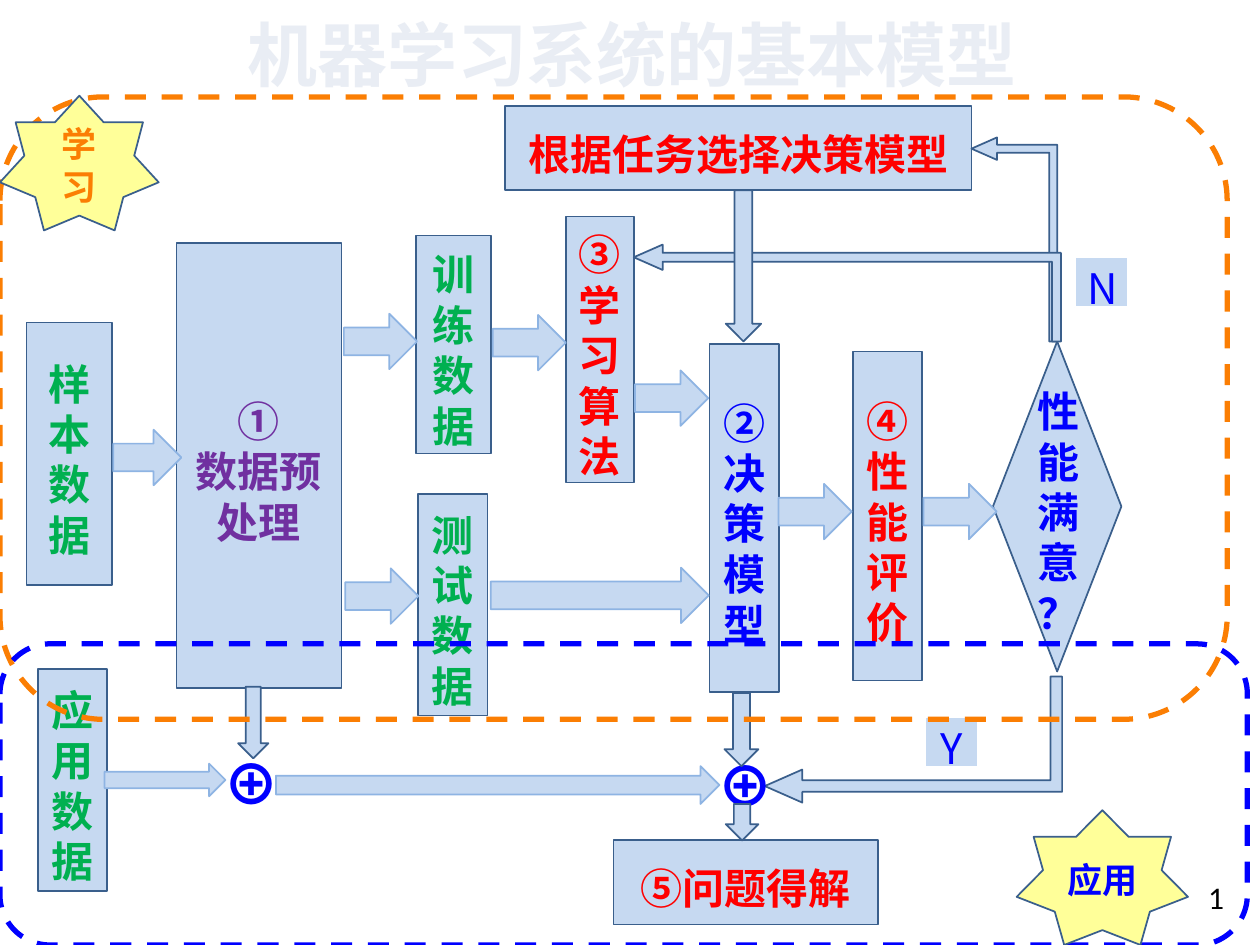
from lxml.etree import SubElement
from pptx import Presentation
from pptx.dml.color import RGBColor
from pptx.enum.dml import MSO_LINE
from pptx.enum.shapes import MSO_SHAPE
from pptx.enum.text import MSO_ANCHOR, PP_ALIGN
from pptx.oxml.ns import qn
from pptx.util import Pt

COLORS = {
    "pale": "C6D9F1", "edge": "3A5F8C", "light_edge": "8EB4E3",
    "white": "FFFFFF", "black": "000000", "yellow": "FFFF99",
    "green": "00B050", "red": "FF0000", "blue": "0000FF",
    "purple": "7030A0", "orange": "FB7E03", "title": "E9EDF4",
}
CJK_FONT = "Noto Sans CJK SC"


class Diagram:
    """Holds the diagram style and the slide being drawn."""

    def __init__(self, slide):
        """Keep the slide that receives the elements."""
        self.slide = slide

    def color(self, name):
        """Return a named colour."""
        return RGBColor.from_string(COLORS[name])

    def add_text(self, shape, lines, color, size=24, bold=True,
                 font=CJK_FONT, align=PP_ALIGN.CENTER):
        """Put one paragraph per line into a shape."""
        frame = shape.text_frame
        frame.word_wrap = True
        for index, line in enumerate(lines):
            paragraph = frame.add_paragraph() if index else frame.paragraphs[0]
            paragraph.alignment = align
            run = paragraph.add_run()
            run.text = line
            run.font.size = Pt(size)
            run.font.bold = bold
            run.font.name = font
            run.font.color.rgb = self.color(color)
            if font == CJK_FONT:
                paragraph.line_spacing = Pt(1.2 * size)
                frame.margin_top, frame.margin_bottom = Pt(6.6), Pt(0.6)
                east_asian = SubElement(run.font._element, qn("a:ea"))
                east_asian.set("typeface", font)

    def shape(self, kind, box, fill="pale", line="edge", width=1):
        """Add a preset shape; no fill when fill is None."""
        shape = self.slide.shapes.add_shape(kind, *map(Pt, box))
        shape.shadow.inherit = False
        if fill:
            shape.fill.solid()
            shape.fill.fore_color.rgb = self.color(fill)
        else:
            shape.fill.background()
        shape.line.color.rgb = self.color(line)
        shape.line.width = Pt(width)
        return shape

    def block(self, kind, box, lines, color, size=24, bold=True, **look):
        """Add a shape with centred text."""
        shape = self.shape(kind, box, **look)
        shape.text_frame.vertical_anchor = MSO_ANCHOR.MIDDLE
        self.add_text(shape, lines, color, size, bold)

    def label(self, box, text, color, size, **style):
        """Add a plain text box."""
        shape = self.slide.shapes.add_textbox(*map(Pt, box))
        self.add_text(shape, [text], color, size, **style)

    def flow_arrow(self, center_x, center_y, length=41.8, thickness=31.7):
        """Add an arrow that points right around its centre."""
        box = (center_x - thickness / 2, center_y - length / 2,
               thickness, length)
        arrow = self.shape(MSO_SHAPE.DOWN_ARROW, box, line="light_edge")
        arrow.rotation = 270

    def feedback_arrow(self, box, rotation, flipped=False):
        """Add a bent arrow that ends pointing left."""
        arrow = self.shape(MSO_SHAPE.BENT_UP_ARROW, box)
        for index, value in enumerate((0.092, 0.131, 0.298)):
            arrow.adjustments[index] = value
        arrow.rotation = rotation
        if flipped:
            arrow._element.spPr.find(qn("a:xfrm")).set("flipV", "1")

    def zone(self, box, color):
        """Add a dashed rounded frame."""
        frame = self.shape(MSO_SHAPE.ROUNDED_RECTANGLE, box, None, color, 3)
        frame.line.dash_style = MSO_LINE.DASH


def main():
    """Build the machine learning diagram."""
    presentation = Presentation()
    presentation.slide_width, presentation.slide_height = Pt(720), Pt(540)
    slide = presentation.slides.add_slide(presentation.slide_layouts[6])
    diagram = Diagram(slide)

    diagram.label((683.3, 498.2, 167.8, 28.8), "1", "black", 18,
                  bold=False, font="Calibri", align=PP_ALIGN.LEFT)

    processes = [
        ((15.1, 184.3, 49, 149.8), ["样本数据"], "green"),
        ((237.6, 134.6, 43.2, 124.6), ["训练数据"], "green"),
        ((239, 282.2, 39.6, 126.7), ["测试数据"], "green"),
        ((288.7, 60.5, 266.4, 48.2), ["根据任务选择决策模型"], "red"),
        ((100.8, 139, 94.3, 254.2), ["①", "数据预处理"], "purple"),
        ((323.3, 123.8, 38.9, 151.9), ["③学习算法"], "red"),
        ((405.4, 196.6, 39.6, 198.7), ["②决策模型"], "blue"),
        ((487.4, 200.9, 39.6, 187.9), ["④性能评价"], "red"),
        ((21.6, 382.3, 39.6, 126.7), ["应用数据"], "green"),
        ((350.6, 480.2, 151.2, 48.2), ["⑤问题得解"], "red"),
    ]
    for box, lines, color in processes:
        diagram.block(MSO_SHAPE.FLOWCHART_PROCESS, box, lines, color)
    diagram.block(MSO_SHAPE.FLOWCHART_DECISION, (567.4, 195.1, 73.4, 188.6),
                  ["性能满意？"], "blue")

    for arrow in [(217.4, 195.1), (218.2, 340.6), (84.2, 261.4, 38.9),
                  (302.4, 195.8), (383.8, 227.5), (342.7, 340.2, 124.6),
                  (465.8, 292.3), (548.6, 292.3),
                  (94.3, 445.7, 69.1, 18.7), (284.4, 448.6, 253.4, 21.6)]:
        diagram.flow_arrow(*arrow)

    diagram.feedback_arrow((521.3, 112.3, 116.6, 49), 270)
    diagram.feedback_arrow((456.5, 45.4, 55.4, 244.1), 270)
    diagram.feedback_arrow((486, 337.7, 72, 169.9), 90, flipped=True)

    for left, top in [(113, 421.9), (395.3, 422.6)]:
        diagram.label((left, top, 61.2, 46.1), "⊕", "blue", 32)
    for box in [(136.1, 392.4, 17.3, 41), (414, 396, 19.4, 41.8),
                (414.7, 108.7, 20.2, 86.4), (414.7, 459.4, 18.7, 20.9)]:
        diagram.shape(MSO_SHAPE.DOWN_ARROW, box)
    for left, top, answer in [(528.5, 409.7, "Y"), (614.2, 146.9, "N")]:
        diagram.block(MSO_SHAPE.RECTANGLE, (left, top, 30.2, 28.8), [answer],
                      "blue", bold=False, line="white")

    diagram.zone((0, 55.4, 701.3, 355.7), "orange")
    diagram.zone((0, 367.9, 712.8, 172.1), "blue")
    for box, text, color in [((0, 54.7, 90.7, 77), "学习", "orange"),
                             ((581, 463, 97.9, 77), "应用", "blue")]:
        diagram.block(MSO_SHAPE.STAR_7_POINT, box, [text], color, 20,
                      fill="yellow")
    diagram.label((82.1, 0, 558, 54.7), "机器学习系统的基本模型", "title", 40)

    presentation.save("out.pptx")


main()
